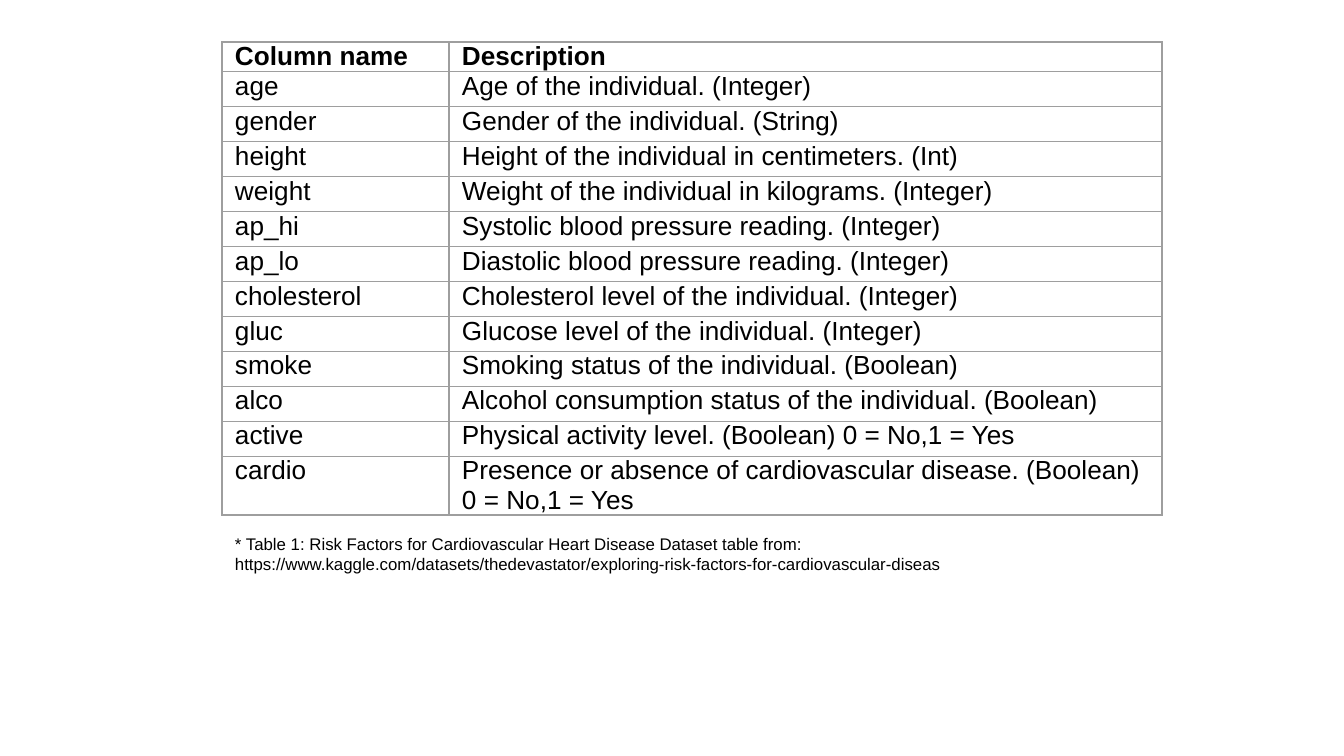
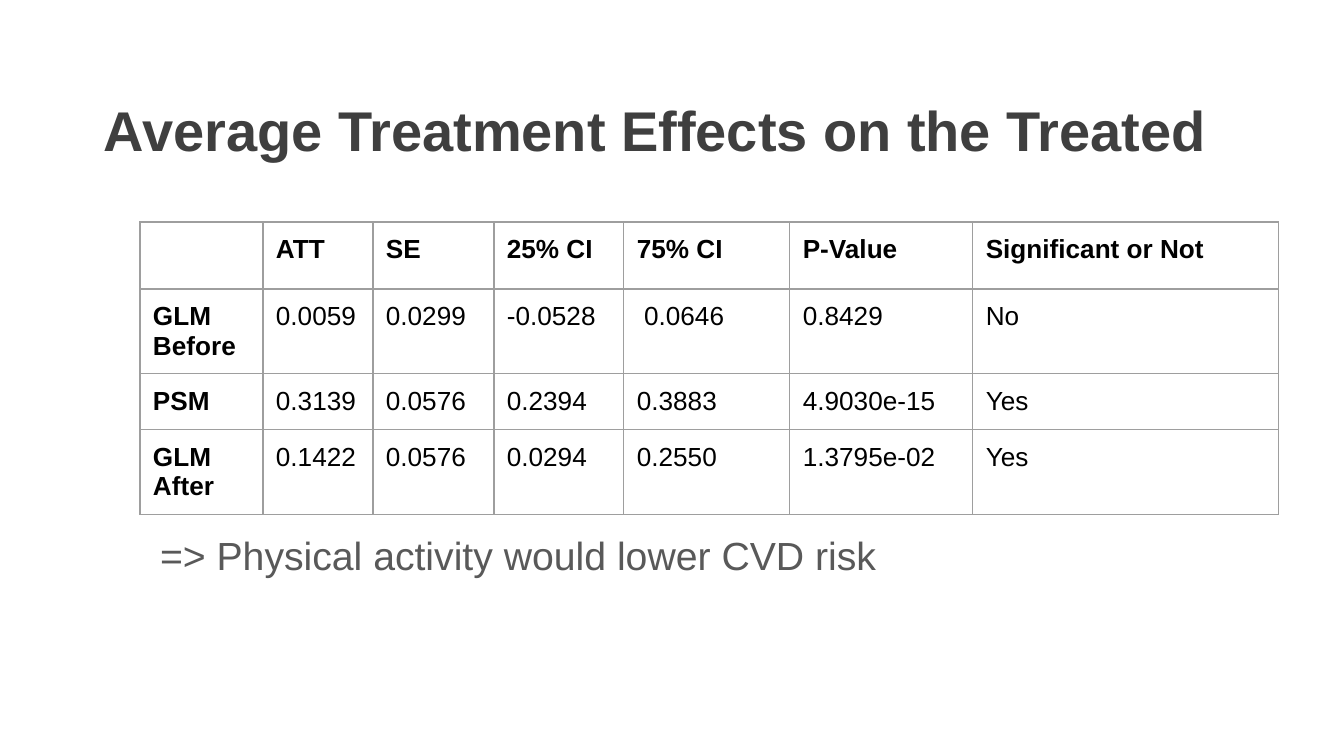
from lxml.etree import SubElement
from pptx import Presentation
from pptx.dml.color import RGBColor
from pptx.enum.text import MSO_ANCHOR, MSO_AUTO_SIZE, PP_ALIGN
from pptx.oxml.ns import qn
from pptx.util import Emu, Pt

# Content
DATASET_COLUMNS = [
    ("Column name", "Description"),
    ("age", "Age of the individual. (Integer)"),
    ("gender", "Gender of the individual. (String)"),
    ("height", "Height of the individual in centimeters. (Int)"),
    ("weight", "Weight of the individual in kilograms. (Integer)"),
    ("ap_hi", "Systolic blood pressure reading. (Integer)"),
    ("ap_lo", "Diastolic blood pressure reading. (Integer)"),
    ("cholesterol", "Cholesterol level of the individual. (Integer)"),
    ("gluc", "Glucose level of the individual. (Integer)"),
    ("smoke", "Smoking status of the individual. (Boolean)"),
    ("alco", "Alcohol consumption status of the individual. (Boolean)"),
    ("active", "Physical activity level. (Boolean) 0 = No,1 = Yes"),
    ("cardio", "Presence or absence of cardiovascular disease. (Boolean)\n0 = No,1 = Yes"),
]
TABLE_SOURCE = (
    "* Table 1: Risk Factors for Cardiovascular Heart Disease Dataset table from: "
    "https://www.kaggle.com/datasets/thedevastator/exploring-risk-factors-for-cardiovascular-diseas"
)
EFFECTS_TITLE = "Average Treatment Effects on the Treated"
EFFECTS = [
    ("", "ATT", "SE", "25% CI", "75% CI", "P-Value", "Significant or Not"),
    ("GLM Before", "0.0059", "0.0299", "-0.0528", " 0.0646", "0.8429", "No"),
    ("PSM", "0.3139", "0.0576", "0.2394", "0.3883", "4.9030e-15", "Yes"),
    ("GLM\nAfter", "0.1422", "0.0576", "0.0294", "0.2550", "1.3795e-02", "Yes"),
]
CONCLUSION = "=> Physical activity would lower CVD risk"

# Shared style
FONT = "Arial"
BLACK, TITLE_GRAY, TEXT_GRAY, BORDER_GRAY = "000000", "3F3F3F", "595959", "9E9E9E"
TABLE_SIZE = 14
INSET = 13
TITLE_LAYOUT, BLANK_LAYOUT = 5, 6


def px(length):
    return Emu(round(length * 914400 / 134.4))


def color(hex_code):
    return RGBColor.from_string(hex_code)


def set_insets(target, left, top, right, bottom):
    target.margin_left, target.margin_top = px(left), px(top)
    target.margin_right, target.margin_bottom = px(right), px(bottom)


def set_text(text_frame, text, size, hex_code, bold=False):
    text_frame.text = text
    for paragraph in text_frame.paragraphs:
        paragraph.alignment = PP_ALIGN.LEFT
        for run in paragraph.runs:
            run.font.name, run.font.size, run.font.bold = FONT, Pt(size), bold
            run.font.color.rgb = color(hex_code)


def add_borders(cell):
    properties = cell._tc.get_or_add_tcPr()
    for side in ("a:lnL", "a:lnR", "a:lnT", "a:lnB"):
        line = SubElement(properties, qn(side), w=str(Pt(0.75)))
        fill = SubElement(line, qn("a:solidFill"))
        SubElement(fill, qn("a:srgbClr"), val=BORDER_GRAY)


def add_grid(slide, rows, left, top, widths, heights, insets, bold_first_column=False):
    frame = slide.shapes.add_table(
        len(rows), len(widths), px(left), px(top), px(sum(widths)), px(sum(heights)))
    table = frame.table
    table.first_row = table.horz_banding = False
    for column, width in zip(table.columns, widths):
        column.width = px(width)
    for row, height in zip(table.rows, heights):
        row.height = px(height)
    for row_index, values in enumerate(rows):
        for column_index, value in enumerate(values):
            cell = table.cell(row_index, column_index)
            bold = row_index == 0 or (bold_first_column and column_index == 0)
            if value:
                set_text(cell.text_frame, value, TABLE_SIZE, BLACK, bold)
            set_insets(cell, *insets)
            add_borders(cell)
            cell.fill.background()


def add_text(slide, text, left, top, width, height, size, hex_code):
    box = slide.shapes.add_textbox(px(left), px(top), px(width), px(height))
    box.text_frame.word_wrap = True
    set_insets(box.text_frame, INSET, INSET, INSET, INSET)
    set_text(box.text_frame, text, size, hex_code)


def add_title(slide, text):
    title = slide.shapes.title
    title.left, title.top, title.width, title.height = px(94), px(79), px(1156), px(108)
    text_frame = title.text_frame
    text_frame.auto_size = MSO_AUTO_SIZE.NONE
    text_frame.vertical_anchor = MSO_ANCHOR.MIDDLE
    set_insets(text_frame, 10, 5, 10, 5)
    set_text(text_frame, text, 30, TITLE_GRAY, bold=True)
    text_frame.paragraphs[0].line_spacing = 0.9


def build_dataset_slide(presentation):
    slide = presentation.slides.add_slide(presentation.slide_layouts[BLANK_LAYOUT])
    heights = [24] + [35] * (len(DATASET_COLUMNS) - 1)
    add_grid(slide, DATASET_COLUMNS, 222, 42, [227, 713], heights, (INSET, 0, 0, 0))
    add_text(slide, TABLE_SOURCE, 222, 521, 981, 47, 9, BLACK)


def build_effects_slide(presentation):
    slide = presentation.slides.add_slide(presentation.slide_layouts[TITLE_LAYOUT])
    add_title(slide, EFFECTS_TITLE)
    widths = [123, 110, 121, 130, 166, 183, 306]
    add_grid(slide, EFFECTS, 140, 222, widths, [56] * len(EFFECTS), (INSET,) * 4,
             bold_first_column=True)
    add_text(slide, CONCLUSION, 147, 518, 969, 152, 21, TEXT_GRAY)


def main():
    presentation = Presentation()
    presentation.slide_width, presentation.slide_height = px(1344), px(756)
    build_dataset_slide(presentation)
    build_effects_slide(presentation)
    presentation.save("out.pptx")


if __name__ == "__main__":
    main()
